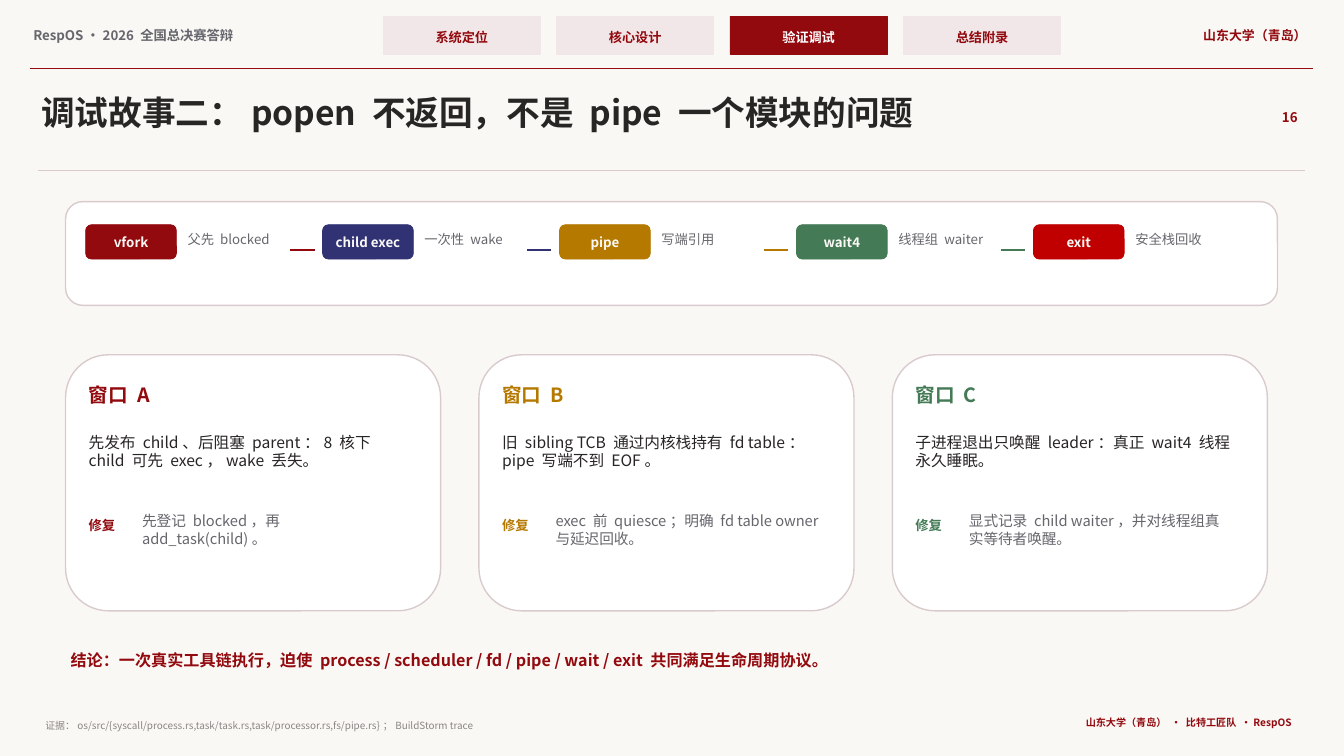
from dataclasses import dataclass

from lxml.etree import SubElement
from pptx import Presentation
from pptx.dml.color import RGBColor
from pptx.enum.shapes import MSO_CONNECTOR as Connector, MSO_SHAPE as Preset
from pptx.enum.text import MSO_AUTO_SIZE as AutoSize, PP_ALIGN as Align
from pptx.oxml.ns import qn
from pptx.util import Inches, Pt

# Content
EVENT = "RespOS · 2026 全国总决赛答辩"
SCHOOL = "山东大学（青岛）"
TABS = ["系统定位", "核心设计", "验证调试", "总结附录"]
ACTIVE_TAB = "验证调试"
TITLE = "调试故事二：popen 不返回，不是 pipe 一个模块的问题"
PAGE = "16"
STEPS = [
    ("vfork", "父先 blocked", "92090E"),
    ("child exec", "一次性 wake", "303274"),
    ("pipe", "写端引用", "B57900"),
    ("wait4", "线程组 waiter", "447A55"),
    ("exit", "安全栈回收", "C00000"),
]
FIX_LABEL = "修复"
WINDOWS = [
    ("窗口 A", "先发布 child、后阻塞 parent：8 核下 child 可先 exec，wake 丢失。",
     "先登记 blocked，再 add_task(child)。", "92090E"),
    ("窗口 B", "旧 sibling TCB 通过内核栈持有 fd table：pipe 写端不到 EOF。",
     "exec 前 quiesce；明确 fd table owner 与延迟回收。", "B57900"),
    ("窗口 C", "子进程退出只唤醒 leader：真正 wait4 线程永久睡眠。",
     "显式记录 child waiter，并对线程组真实等待者唤醒。", "447A55"),
]
CONCLUSION = ("结论：一次真实工具链执行，迫使 process / scheduler / fd / pipe / wait / exit "
              "共同满足生命周期协议。")
EVIDENCE = ("证据：os/src/{syscall/process.rs,task/task.rs,task/processor.rs,fs/pipe.rs}；"
            "BuildStorm trace")
CREDIT = "山东大学（青岛） · 比特工匠队 · RespOS"


@dataclass(frozen=True)
class Theme:
    font: str = "Noto Sans CJK SC"
    paper: str = "FAF8F5"
    white: str = "FFFFFF"
    red: str = "92090E"
    blush: str = "F2E7E8"
    border: str = "D9CBCD"
    ink: str = "282525"
    gray: str = "66666D"
    pale: str = "8A8585"
    title: float = 24
    heading: float = 14
    conclusion: float = 11.5
    body: float = 11.2
    fix: float = 10.5
    label: float = 9.5
    tab: float = 9.4
    school: float = 9.2
    credit: float = 7.2
    evidence: float = 7.1


theme = Theme()
presentation = Presentation()
presentation.slide_width = Inches(13.33)
presentation.slide_height = Inches(7.5)
slide = presentation.slides.add_slide(presentation.slide_layouts[6])
slide.background.fill.solid()
slide.background.fill.fore_color.rgb = RGBColor.from_string(theme.paper)


def add_text(text, left, top, width, height, size, color, bold=False, align=None):
    box = slide.shapes.add_textbox(Inches(left), Inches(top), Inches(width), Inches(height))
    frame = box.text_frame
    frame.word_wrap = True
    frame.auto_size = AutoSize.SHAPE_TO_FIT_TEXT
    frame.margin_left = frame.margin_right = Inches(0.03)
    frame.margin_top = frame.margin_bottom = Inches(0.03)
    paragraph = frame.paragraphs[0]
    paragraph.alignment = align
    run = paragraph.add_run()
    run.text = text
    run.font.size = Pt(size)
    run.font.bold = bold
    run.font.color.rgb = RGBColor.from_string(color)
    run.font.name = theme.font
    SubElement(run.font._element, qn("a:ea"), typeface=theme.font)


def add_panel(preset, left, top, width, height, fill, line, weight):
    shape = slide.shapes.add_shape(
        preset, Inches(left), Inches(top), Inches(width), Inches(height))
    shape.shadow.inherit = False
    shape.fill.solid()
    shape.fill.fore_color.rgb = RGBColor.from_string(fill)
    shape.line.color.rgb = RGBColor.from_string(line)
    shape.line.width = Pt(weight)


def add_rule(left, right, y, color, weight):
    rule = slide.shapes.add_connector(
        Connector.STRAIGHT, Inches(left), Inches(y), Inches(right), Inches(y))
    rule.line.color.rgb = RGBColor.from_string(color)
    rule.line.width = Pt(weight)
    SubElement(rule._element.spPr, qn("a:effectLst"))


# Header and navigation tabs
add_text(EVENT, 0.3, 0.24, 3.35, 0.24, theme.label, theme.gray, True)
for index, tab in enumerate(TABS):
    left = 3.8 + 1.72 * index
    fill, color = (theme.red, theme.white) if tab == ACTIVE_TAB else (theme.blush, theme.red)
    add_panel(Preset.RECTANGLE, left, 0.16, 1.56, 0.38, fill, fill, 0.5)
    add_text(tab, left + 0.06, 0.26, 1.44, 0.18, theme.tab, color, True, Align.CENTER)
add_text(SCHOOL, 11.35, 0.24, 1.64, 0.24, theme.school, theme.red, True, Align.RIGHT)
add_rule(0.3, 13.02, 0.68, theme.red, 1.1)

# Title and page number
add_text(TITLE, 0.38, 0.88, 11.85, 0.48, theme.title, theme.ink, True)
add_text(PAGE, 12.48, 1.05, 0.42, 0.24, theme.label, theme.red, True, Align.RIGHT)
add_rule(0.38, 12.94, 1.69, theme.border, 0.9)

# Process chain
add_panel(Preset.ROUNDED_RECTANGLE, 0.65, 2, 12.02, 1.03, theme.white, theme.border, 1)
for index, (name, note, color) in enumerate(STEPS):
    left = 0.85 + 2.35 * index
    add_panel(Preset.ROUNDED_RECTANGLE, left, 2.23, 0.9, 0.34, color, color, 0.5)
    add_text(name, left + 0.06, 2.29, 0.78, 0.21, theme.label, theme.paper, True, Align.CENTER)
    add_text(note, left + 0.98, 2.26, 1.08, 0.25, theme.label, theme.gray)
    if index < len(STEPS) - 1:
        add_rule(left + 2.03, left + 2.27, 2.48, color, 1.6)

# Window cards
for index, (heading, problem, fix, color) in enumerate(WINDOWS):
    card = 0.65 + 4.1 * index
    left = card + 0.2
    add_panel(Preset.ROUNDED_RECTANGLE, card, 3.52, 3.72, 2.54, theme.white, theme.border, 1)
    add_text(heading, left, 3.77, 1.05, 0.28, theme.heading, color, True)
    add_text(problem, left, 4.26, 3.25, 0.67, theme.body, theme.ink)
    add_text(FIX_LABEL, left, 5.1, 0.5, 0.22, theme.label, color, True)
    add_text(fix, left + 0.53, 5.05, 2.68, 0.6, theme.fix, theme.gray)

# Conclusion and footer
add_text(CONCLUSION, 0.67, 6.42, 11.5, 0.3, theme.conclusion, theme.red, True)
add_text(EVIDENCE, 0.42, 7.11, 9.7, 0.17, theme.evidence, theme.pale)
add_text(CREDIT, 9.72, 7.08, 3.12, 0.2, theme.credit, theme.red, True, Align.RIGHT)

presentation.save("out.pptx")
